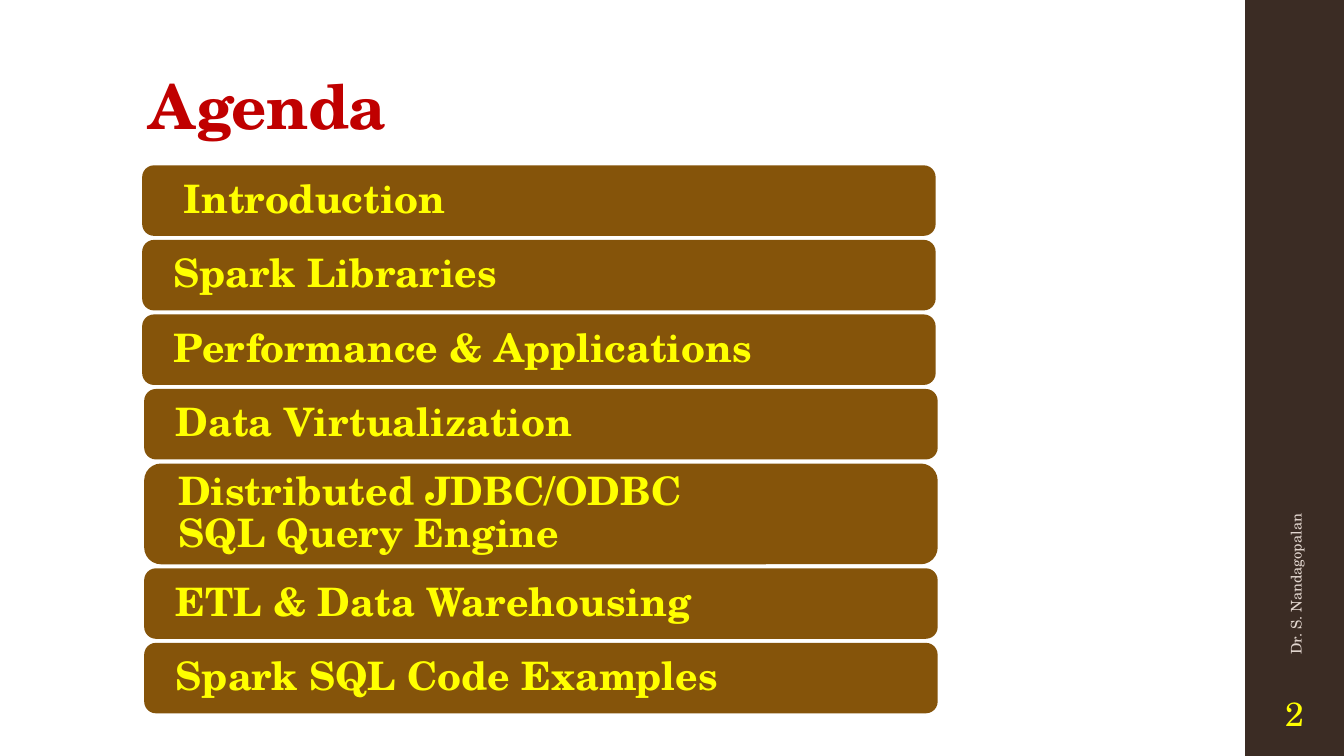
from pptx import Presentation
from pptx.dml.color import RGBColor
from pptx.enum.shapes import MSO_SHAPE
from pptx.enum.text import MSO_ANCHOR, PP_ALIGN
from pptx.util import Inches, Pt

RECT = MSO_SHAPE.RECTANGLE
ROUND = MSO_SHAPE.ROUNDED_RECTANGLE
MIDDLE, BOTTOM = MSO_ANCHOR.MIDDLE, MSO_ANCHOR.BOTTOM
LEFT, CENTER = PP_ALIGN.LEFT, PP_ALIGN.CENTER

WIDTH, HEIGHT = Inches(13.33), Inches(7.5)
FONT = "TeX Gyre Schola"
BROWN, DARK, YELLOW, RED, PALE = "85540A", "3B2C24", "FFFF00", "C00000", "E2D6CF"

SIDE = 92.65
TOP, GAP = 21.87, 0.53
ROW, TALL = 9.33, 13.33
NEAR, FAR = 10.58, 10.73
TOPICS = [
    ("Introduction", NEAR, ROW, 0.38),
    ("Spark Libraries", NEAR, ROW, 0.28),
    ("Performance & Applications", NEAR, ROW, 0.28),
    ("Data Virtualization", FAR, ROW, 0.28),
    ("Distributed JDBC/ODBC\vSQL Query Engine", FAR, TALL, 0.29),
    ("ETL & Data Warehousing", FAR, ROW, 0.28),
    ("Spark SQL Code Examples", FAR, ROW, 0.28),
]


def color(code):
    return RGBColor.from_string(code)


def area(left, top, width, height):
    return (
        round(WIDTH * left / 100),
        round(HEIGHT * top / 100),
        round(WIDTH * width / 100),
        round(HEIGHT * height / 100),
    )


def write(shape, text, size, code, bold=False, align=LEFT, anchor=MIDDLE, lines=1.0):
    frame = shape.text_frame
    frame.word_wrap = True
    frame.vertical_anchor = anchor
    frame.text = text
    para = frame.paragraphs[0]
    para.alignment = align
    para.line_spacing = lines
    for run in para.runs:
        run.font.name = FONT
        run.font.size = Pt(size)
        run.font.bold = bold
        run.font.color.rgb = color(code)
    return para


def panel(slide, kind, place, code):
    shape = slide.shapes.add_shape(kind, *area(*place))
    shape.shadow.inherit = False
    shape.fill.solid()
    shape.fill.fore_color.rgb = color(code)
    shape.line.fill.background()
    return shape


def label(slide, place, text, size, code, **style):
    box = slide.shapes.add_textbox(*area(*place))
    para = write(box, text, size, code, **style)
    return box, para


def topic(slide, text, left, top, height, inset):
    bar = panel(slide, ROUND, (left, top, 59.04, height), BROWN)
    bar.text_frame.margin_left = Inches(inset)
    write(bar, text, 28, YELLOW, bold=True, lines=0.9)


def main():
    deck = Presentation()
    deck.slide_width, deck.slide_height = WIDTH, HEIGHT
    slide = deck.slides.add_slide(deck.slide_layouts[6])

    panel(slide, RECT, (SIDE, 0, 100 - SIDE, 100), DARK)
    _, title = label(slide, (10.35, 5.33, 79.52, 14.27), "Agenda", 44, RED,
                     bold=True, anchor=BOTTOM, lines=0.9)
    for run in title.runs:
        run.font._element.set("spc", "-50")

    top = TOP
    for text, left, height, inset in TOPICS:
        topic(slide, text, left, top, height, inset)
        top += height + GAP

    author, _ = label(slide, (81.7, 59.07, 29.41, 5.33), "Dr. S. Nandagopalan", 10.5, PALE)
    author.rotation = 270
    label(slide, (SIDE, 90, 100 - SIDE, 8.67), "2", 24, YELLOW, align=CENTER)

    deck.save("out.pptx")


if __name__ == "__main__":
    main()
